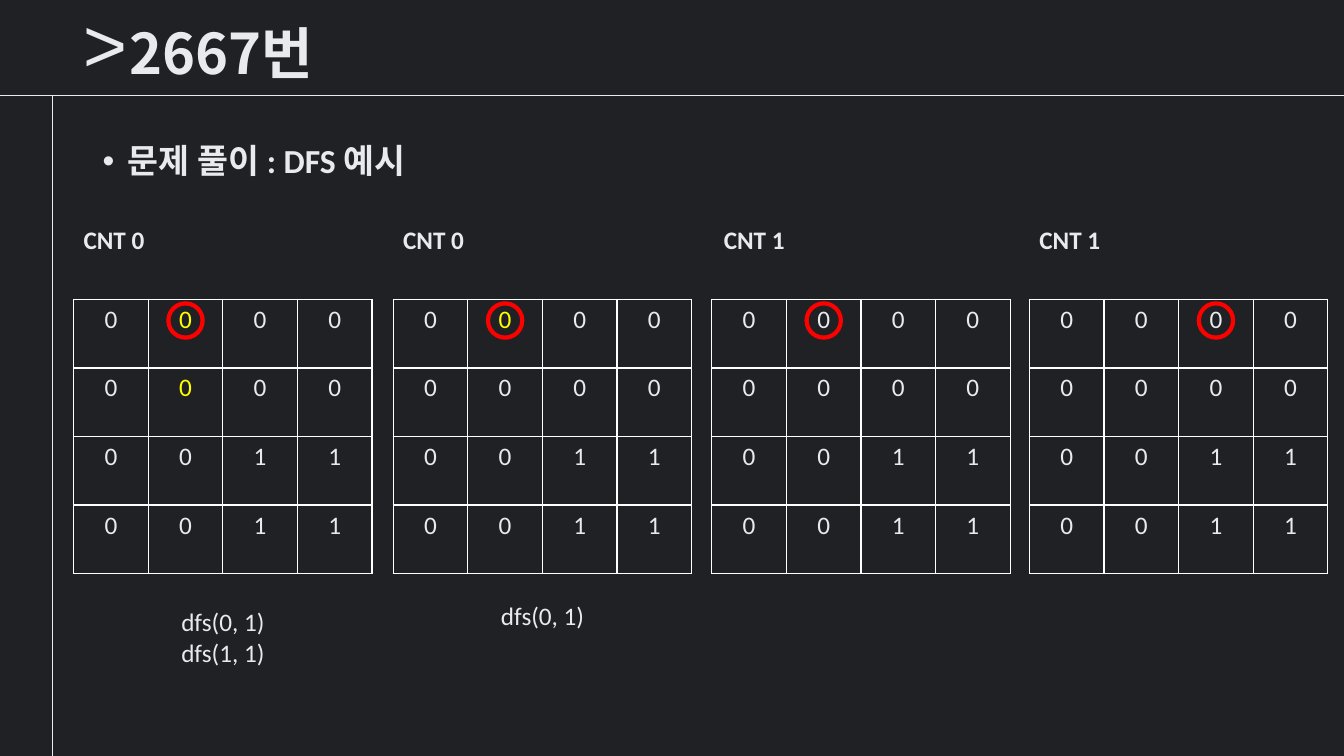
import pptx
import pptx.dml.color
import pptx.enum.shapes
import pptx.enum.text
import pptx.oxml
import pptx.oxml.ns
import pptx.util
from pptx.util import Inches

INK = "E8EAED"
BACKGROUND = "202124"
BORDER = "FFFFFF"
CURRENT = "FF0000"
STACKED = "FFFF00"
KOREAN = "Noto Sans CJK KR"

GRID = ["0000", "0000", "0011", "0011"]
GRID_TOP = 2.97
COLUMN, ROW = 0.74, 0.68
CIRCLE = 0.34

STEPS = [
    {"left": 0.73, "label_left": 0.73, "count": "CNT 0", "visited": 1,
     "stack": [(0, 1), (1, 1)], "calls_top": 5.97},
    {"left": 3.9, "label_left": 3.9, "count": "CNT 0", "visited": 1,
     "stack": [(0, 1)], "calls_top": 5.91},
    {"left": 7.06, "label_left": 7.08, "count": "CNT 1", "visited": 1, "stack": []},
    {"left": 10.21, "label_left": 10.21, "count": "CNT 1", "visited": 2, "stack": []},
]


def rgb(value):
    return pptx.dml.color.RGBColor.from_string(value)


def xml(tag, inner="", **attributes):
    listed = "".join(f' {key}="{value}"' for key, value in attributes.items())
    namespace = pptx.oxml.ns.nsdecls("a")
    return pptx.oxml.parse_xml(f"<a:{tag} {namespace}{listed}>{inner}</a:{tag}>")


def apply(target, settings):
    for name, value in settings.items():
        setattr(target, name, value)


def write(paragraph, text, size=18, color=INK, name="Calibri", bold=False, asian=None):
    run = paragraph.add_run()
    run.text = text
    apply(run.font, {"size": pptx.util.Pt(size), "name": name, "bold": bold})
    run.font.color.rgb = rgb(color)
    if asian:
        run.font._element.append(xml("ea", typeface=asian))


def add_text(slide, box, lines, wrap=True,
             anchor=pptx.enum.text.MSO_ANCHOR.TOP, **font):
    frame = slide.shapes.add_textbox(*map(Inches, box)).text_frame
    apply(frame, {"word_wrap": wrap, "vertical_anchor": anchor})
    for index, line in enumerate(lines):
        paragraph = frame.add_paragraph() if index else frame.paragraphs[0]
        write(paragraph, line, **font)
    return frame


def add_rule(slide, *ends):
    rule = slide.shapes.add_connector(
        pptx.enum.shapes.MSO_CONNECTOR.STRAIGHT, *map(Inches, ends))
    rule.line.color.rgb = rgb(INK)
    rule.line.width = pptx.util.Pt(1)
    rule._element.spPr.append(xml("effectLst"))


def set_title(slide, text):
    title = slide.shapes.title
    apply(title, {"left": Inches(1.18), "top": Inches(0.21),
                  "width": Inches(9.26), "height": Inches(0.7)})
    apply(title.text_frame, {
        "word_wrap": True,
        "auto_size": pptx.enum.text.MSO_AUTO_SIZE.NONE,
        "vertical_anchor": pptx.enum.text.MSO_ANCHOR.MIDDLE})
    paragraph = title.text_frame.paragraphs[0]
    apply(paragraph, {"alignment": pptx.enum.text.PP_ALIGN.LEFT, "line_spacing": 0.9})
    write(paragraph, text, size=40, name=KOREAN, bold=True, asian=KOREAN)


def add_bullet(slide, box, text):
    frame = add_text(slide, box, [text], size=24, bold=True, asian=KOREAN,
                     anchor=pptx.enum.text.MSO_ANCHOR.MIDDLE)
    paragraph = frame.paragraphs[0]
    properties = paragraph._p.get_or_add_pPr()
    properties.set("marL", str(Inches(0.25)))
    properties.set("indent", str(Inches(-0.25)))
    properties.append(xml("buFont", typeface="Arial"))
    properties.append(xml("buChar", char="•"))
    paragraph.line_spacing = 0.9


def style_cell(cell):
    properties = cell._tc.get_or_add_tcPr()
    stroke = f'<a:solidFill><a:srgbClr val="{BORDER}"/></a:solidFill>'
    for side in ("lnL", "lnR", "lnT", "lnB"):
        properties.append(xml(side, stroke, w=pptx.util.Pt(1)))
    cell.fill.background()


def add_grid(slide, left, stack):
    rows, columns = len(GRID), len(GRID[0])
    table = slide.shapes.add_table(
        rows, columns, Inches(left), Inches(GRID_TOP),
        Inches(columns * COLUMN), Inches(rows * ROW)).table
    apply(table, {"first_row": False, "horz_banding": False})
    for r, values in enumerate(GRID):
        for c, value in enumerate(values):
            cell = table.cell(r, c)
            style_cell(cell)
            paragraph = cell.text_frame.paragraphs[0]
            paragraph.alignment = pptx.enum.text.PP_ALIGN.CENTER
            write(paragraph, value, color=STACKED if (r, c) in stack else INK)


def add_marker(slide, left, column):
    x = left + column * COLUMN + (COLUMN - CIRCLE) / 2
    circle = slide.shapes.add_shape(
        pptx.enum.shapes.MSO_SHAPE.OVAL, Inches(x), Inches(GRID_TOP + 0.04),
        Inches(CIRCLE), Inches(CIRCLE))
    circle.shadow.inherit = False
    circle.fill.background()
    circle.line.color.rgb = rgb(CURRENT)
    circle.line.width = pptx.util.Pt(3)


def add_step(slide, step):
    left, stack = step["left"], step["stack"]
    add_grid(slide, left, stack)
    add_marker(slide, left, step["visited"])
    add_text(slide, (step["label_left"], 2.18, 0.81, 0.4), [step["count"]],
             wrap=False, bold=True)
    if stack:
        calls = [f"dfs({row}, {column})" for row, column in stack]
        add_text(slide, (left + 0.97, step["calls_top"], 1.1, 0.1 + 0.3 * len(calls)),
                 calls)


def main():
    deck = pptx.Presentation()
    apply(deck, {"slide_width": Inches(13.33), "slide_height": Inches(7.5)})
    slide = deck.slides.add_slide(deck.slide_layouts[5])
    slide.background.fill.solid()
    slide.background.fill.fore_color.rgb = rgb(BACKGROUND)
    add_rule(slide, 0, 0.95, 13.33, 0.95)
    add_rule(slide, 0.52, 7.5, 0.52, 0.95)
    add_text(slide, (0.72, -0.08, 0.54, 1.01), [">"], size=54, name="Courier New")
    set_title(slide, "2667번")
    add_bullet(slide, (0.92, 1.4, 11.5, 0.43), "문제 풀이 : DFS 예시")
    for step in STEPS:
        add_step(slide, step)
    deck.save("out.pptx")


if __name__ == "__main__":
    main()
